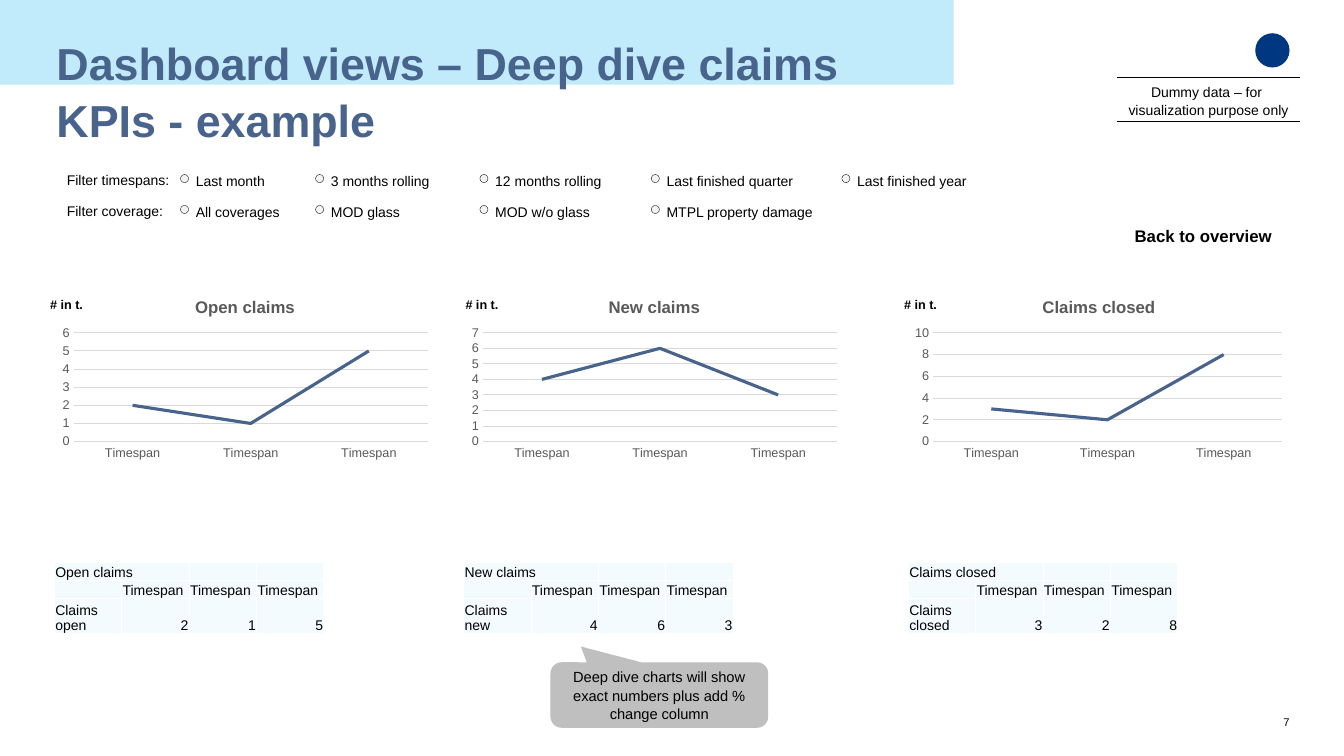
from lxml import etree
from pptx import Presentation, util as u
from pptx.chart.data import CategoryChartData
from pptx.dml.color import RGBColor
from pptx.enum import chart as charts, shapes, text
from pptx.oxml.ns import qn

TITLE = "Dashboard views – Deep dive claims \vKPIs - example"
NOTICE = "Dummy data – for \vvisualization purpose only"
CALLOUT = "Deep dive charts will show exact numbers plus add % change column"
FILTERS = [
    ("Filter timespans:", 19.32, ["Last month", "3 months rolling", "12 months rolling",
                                  "Last finished quarter", "Last finished year"]),
    ("Filter coverage:", 23, ["All coverages", "MOD glass", "MOD w/o glass",
                              "MTPL property damage"]),
]
OPTION_COLUMNS = [21.48, 37.56, 57.12, 77.52, 100.2]
KPIS = [
    dict(name="Open claims", row="Claims open", values=(2, 1, 5), left=6.48, unit_left=4.2,
         top_value=6, step=1, plot_left=0.05),
    dict(name="New claims", row="Claims new", values=(4, 6, 3), left=55.2, unit_left=53.64,
         top_value=7, step=1, plot_left=0.05),
    dict(name="Claims closed", row="Claims closed", values=(3, 2, 8), left=108.12,
         unit_left=105.84, top_value=10, step=2, plot_left=0.065),
]
SPANS = ["Timespan"] * 3
TABLE_COLUMN, TABLE_ROWS = 8.02, (2.16, 2.16, 4.2)
NAVY, GREY, PALE = "49648C", "595959", "F4FBFE"
LEFT, CENTER, RIGHT = text.PP_ALIGN.LEFT, text.PP_ALIGN.CENTER, text.PP_ALIGN.RIGHT
MIDDLE = text.MSO_ANCHOR.MIDDLE
OPTION_INSETS = (1, 1, 0, 1)

deck = Presentation()
deck.slide_width, deck.slide_height = u.Inches(13.33), u.Inches(7.5)
slide = deck.slides.add_slide(deck.slide_layouts[6])


def grid(*cells):
    """Turn counts of grid cells, 90 to the slide's height, into lengths."""
    return [int(deck.slide_height * cell / 90) for cell in cells]


def color(hex_code):
    """Return the colour of a hex string."""
    return RGBColor.from_string(hex_code)


def style(font, size, ink="000000", bold=False):
    """Format a font."""
    font.name, font.size, font.bold = "Arial", u.Pt(size), bold
    font.color.rgb = color(ink)


def write(frame, words, size=10, ink="000000", bold=False, align=LEFT,
          anchor=text.MSO_ANCHOR.TOP, insets=(1, 1, 1, 1), spacing=1.05, wrap=True):
    """Fill a text frame with one formatted paragraph."""
    frame.word_wrap, frame.vertical_anchor = wrap, anchor
    (frame.margin_left, frame.margin_top,
     frame.margin_right, frame.margin_bottom) = grid(*insets)
    paragraph = frame.paragraphs[0]
    paragraph.text, paragraph.alignment, paragraph.line_spacing = words, align, spacing
    for run in paragraph.runs:
        style(run.font, size, ink, bold)


def label(words, *place, **formats):
    """Add a text box."""
    write(slide.shapes.add_textbox(*grid(*place)).text_frame, words, **formats)


def block(kind, fill, *place, outline=None):
    """Add a filled preset shape."""
    shape = slide.shapes.add_shape(kind, *grid(*place))
    shape.shadow.inherit = False
    shape.fill.solid()
    shape.fill.fore_color.rgb = color(fill)
    if outline:
        shape.line.color.rgb, shape.line.width = color(outline), u.Pt(0.25)
    else:
        shape.line.fill.background()
    return shape


def rule(left, right, top):
    """Add a thin horizontal line."""
    line = slide.shapes.add_connector(shapes.MSO_CONNECTOR.STRAIGHT,
                                      *grid(left, top, right, top))
    line.line.color.rgb, line.line.width = color("000000"), u.Pt(0.75)
    etree.SubElement(line._element.spPr, qn("a:effectLst"))


def kpi_chart(kpi):
    """Add the line chart of one KPI."""
    data = CategoryChartData()
    data.categories = SPANS
    data.add_series(kpi["name"], kpi["values"])
    chart = slide.shapes.add_chart(charts.XL_CHART_TYPE.LINE,
                                   *grid(kpi["left"], 33.96, 45.36, 21.24), data).chart
    style(chart.font, 10)
    chart.has_legend, chart.has_title = False, True
    chart.chart_title.text_frame.text = kpi["name"]
    style(chart.chart_title.text_frame.paragraphs[0].runs[0].font, 12, GREY, True)
    for axis in (chart.category_axis, chart.value_axis):
        axis.major_tick_mark = axis.minor_tick_mark = charts.XL_TICK_MARK.NONE
        style(axis.tick_labels.font, 9, GREY)
    values = chart.value_axis
    values.minimum_scale, values.maximum_scale = 0, kpi["top_value"]
    values.major_unit = kpi["step"]
    values.format.line.fill.background()
    for line in (chart.category_axis.format.line, values.major_gridlines.format.line):
        line.color.rgb, line.width = color("D9D9D9"), u.Pt(0.75)
    plot = chart.plots[0]
    plot.vary_by_categories = False
    series = plot.series[0]
    series.smooth = False
    series.marker.style = charts.XL_MARKER_STYLE.NONE
    series.format.line.color.rgb, series.format.line.width = color(NAVY), u.Pt(2.25)
    area = chart._chartSpace.chart.plotArea
    for old in area.findall(qn("c:layout")):
        area.remove(old)
    layout = etree.Element(qn("c:layout"))
    manual = etree.SubElement(layout, qn("c:manualLayout"))
    left = kpi["plot_left"]
    for tag, value in (("layoutTarget", "inner"), ("xMode", "edge"), ("yMode", "edge"),
                       ("x", left), ("y", 0.267), ("w", 0.98 - left), ("h", 0.61)):
        etree.SubElement(manual, qn("c:" + tag)).set("val", str(value))
    area.insert(0, layout)


def kpi_table(kpi):
    """Add the table of one KPI."""
    rows = [(kpi["name"], "", "", ""), ("", *SPANS), (kpi["row"], *kpi["values"])]
    place = grid(kpi["left"], 66.96, 4 * TABLE_COLUMN, sum(TABLE_ROWS))
    table = slide.shapes.add_table(3, 4, *place).table
    table.first_row = table.horz_banding = False
    for column in table.columns:
        column.width, = grid(TABLE_COLUMN)
    for row, height in zip(table.rows, TABLE_ROWS):
        row.height, = grid(height)
    for r, row in enumerate(rows):
        for c, value in enumerate(row):
            cell = table.cell(r, c)
            write(cell.text_frame, str(value), spacing=1.0,
                  align=RIGHT if isinstance(value, int) else LEFT)
            (cell.margin_left, cell.margin_top,
             cell.margin_right, cell.margin_bottom) = grid(0.1, 0.1, 0.1, 0)
            cell.vertical_anchor = text.MSO_ANCHOR.BOTTOM
            if value == "":
                end = etree.SubElement(cell.text_frame.paragraphs[0]._p, qn("a:endParaRPr"))
                end.set("sz", "1000")
            for side in ("lnL", "lnR", "lnT", "lnB"):
                edge = etree.SubElement(cell._tc.tcPr, qn("a:" + side), w="12700")
                paint = etree.SubElement(edge, qn("a:solidFill"))
                etree.SubElement(paint, qn("a:srgbClr"), val="FFFFFF")
            cell.fill.solid()
            cell.fill.fore_color.rgb = color(PALE)
    table.cell(0, 0).merge(table.cell(0, 1))


block(shapes.MSO_SHAPE.RECTANGLE, "C1EBFB", 0, 0, 113.5, 10.08)
block(shapes.MSO_SHAPE.OVAL, "003781", 149.4, 3.96, 4.08, 4.08)
label(TITLE, 6.72, 3.96, 141.36, 12.96, size=32, ink=NAVY, bold=True, insets=(0, 0, 0, 0))
for edge_top in (9.24, 14.52):
    rule(132.96, 154.68, edge_top)
label(NOTICE, 132.96, 8.88, 21.72, 6, align=CENTER)
label("7", 149.4, 85.2, 4.08, 1.56, size=8, align=RIGHT, anchor=MIDDLE,
      insets=(0, 0, 0, 0), wrap=False)
for heading, top, options in FILTERS:
    label(heading, 6.96, top, 14.16, 3.96, insets=OPTION_INSETS)
    for left, option in zip(OPTION_COLUMNS, options):
        block(shapes.MSO_SHAPE.OVAL, "F4F2F2", left, top + 1.46, 0.96, 0.96, outline="000000")
        label(option, left + 0.82, top + 0.08, 20.3, 3.96, insets=OPTION_INSETS)
label("Back to overview", 134.04, 25.8, 19.44, 4.32, size=12, bold=True, insets=OPTION_INSETS)
for kpi in KPIS:
    kpi_chart(kpi)
    kpi_table(kpi)
    label("# in t.", kpi["unit_left"], 34.32, 7.44, 3.72, size=9, bold=True,
          align=CENTER, anchor=MIDDLE)
callout = block(shapes.MSO_SHAPE.ROUNDED_RECTANGULAR_CALLOUT, "BFBFBF",
                65.52, 78.84, 25.92, 7.8)
for index, share in enumerate((-0.36, -0.74, 0.17)):
    callout.adjustments[index] = share
write(callout.text_frame, CALLOUT, size=10.5, align=CENTER, anchor=MIDDLE,
      insets=(1.2, 0.6, 1.2, 0.6))
deck.save("out.pptx")
